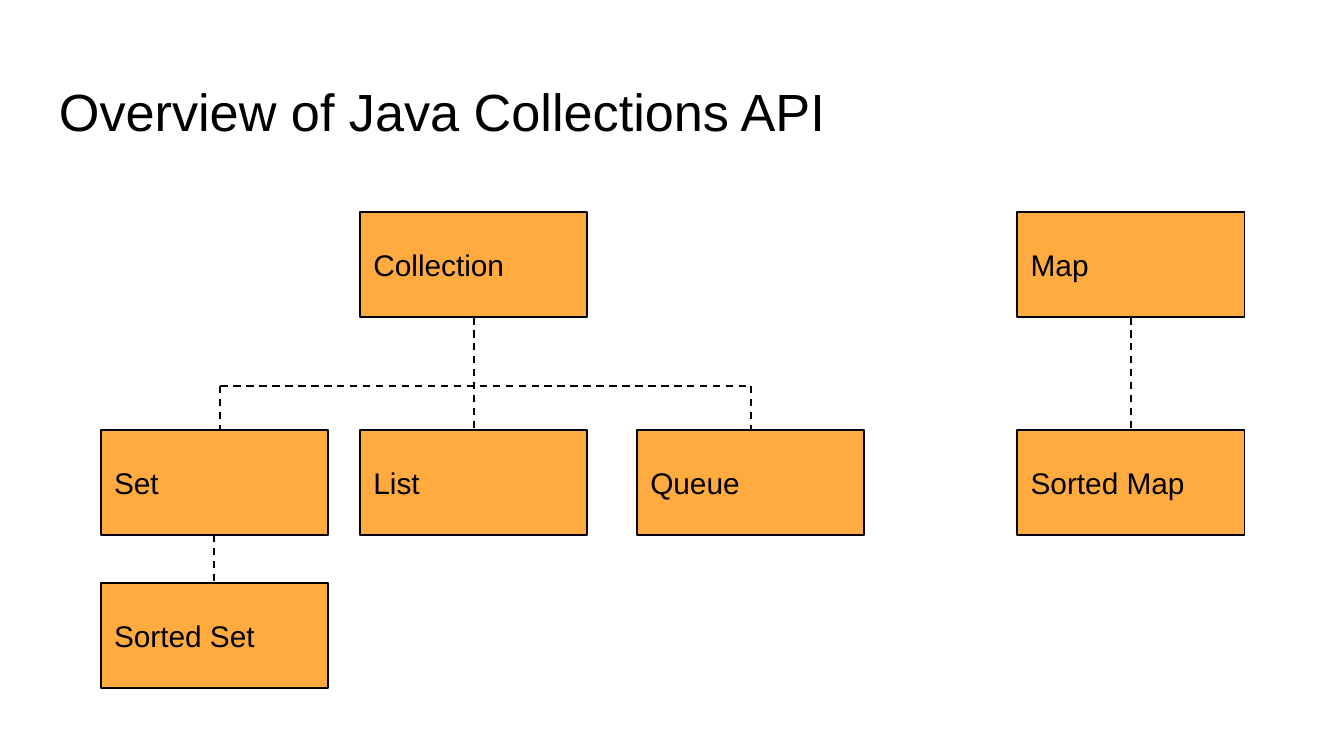
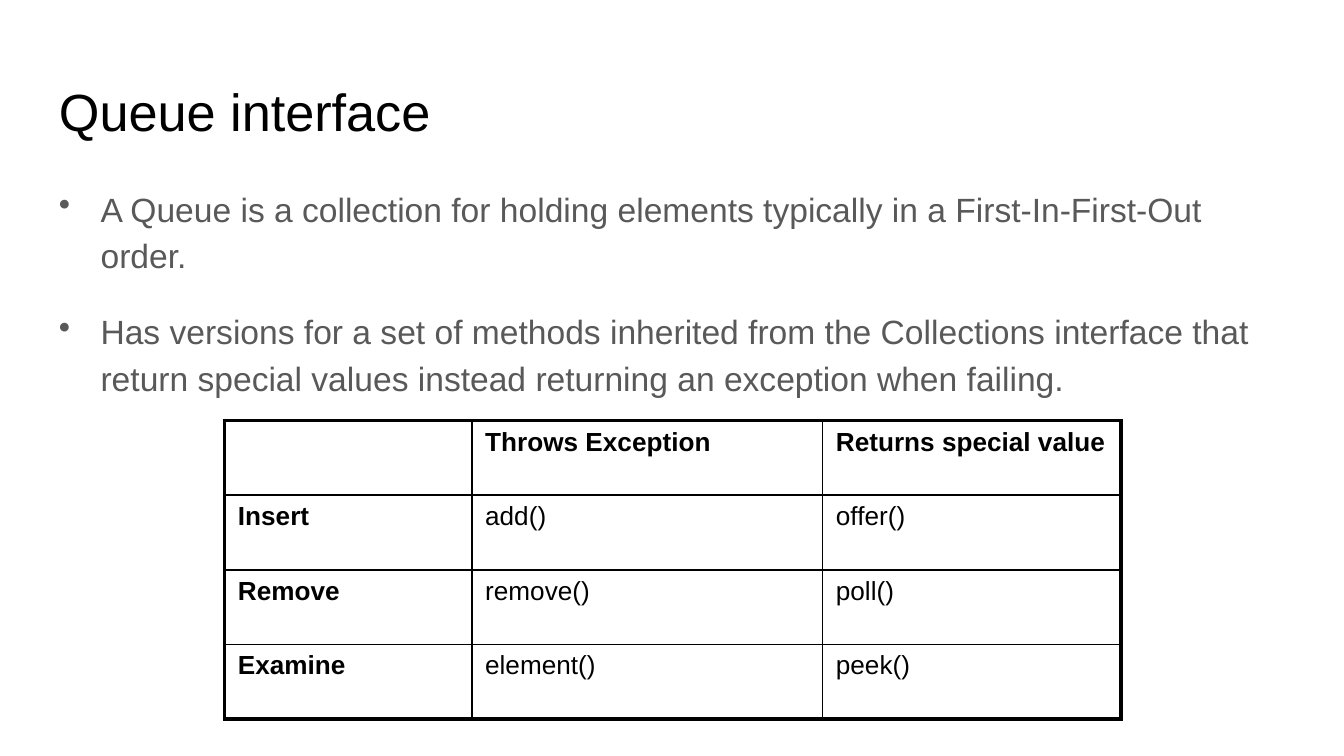
from lxml.etree import SubElement
from pptx import Presentation
from pptx.dml.color import RGBColor
from pptx.enum.dml import MSO_LINE
from pptx.enum.shapes import MSO_CONNECTOR, MSO_SHAPE
from pptx.enum.text import MSO_ANCHOR, PP_ALIGN
from pptx.oxml import parse_xml
from pptx.oxml.ns import nsdecls, qn
from pptx.util import Pt

PX = 4572
FONT = "Arial"
COLORS = {"ink": "000000", "body": "595959", "box": "FFAB40", "page": "FFFFFF"}
TITLE_BOX = (68, 98, 1864, 126)
BODY_BOX = (68, 252, 1864, 748)
TOP, BOTTOM, INSET = 0, 2, 20


def px(n):
    """Turn pixels into EMU."""
    return round(n * PX)


def rgb(name):
    """Look up a named colour."""
    return RGBColor.from_string(COLORS[name])


def style(p, size, color="ink", bold=False):
    """Set the font of a paragraph."""
    p.alignment = PP_ALIGN.LEFT
    p.font.name, p.font.size, p.font.bold = FONT, Pt(size), bold
    p.font.color.rgb = rgb(color)


def text_box(s, box, lines, size, color="ink"):
    """Add a wrapping text box and return its paragraphs."""
    tf = s.shapes.add_textbox(*map(px, box)).text_frame
    tf.word_wrap = True
    tf.margin_left = tf.margin_right = tf.margin_top = tf.margin_bottom = px(INSET)
    tf.text = "\n".join(lines)
    for p in tf.paragraphs:
        style(p, size, color)
    return tf.paragraphs


def add_slide(prs, title):
    """Add a blank slide with the shared background and title."""
    s = prs.slides.add_slide(prs.slide_layouts[6])
    s.background.fill.solid()
    s.background.fill.fore_color.rgb = rgb("page")
    text_box(s, TITLE_BOX, [title], 28)
    return s


def type_box(s, x, y, w, h, name):
    """Add one interface box of the hierarchy."""
    sp = s.shapes.add_shape(MSO_SHAPE.RECTANGLE, px(x), px(y), px(w), px(h))
    sp.shadow.inherit = False
    sp.fill.solid()
    sp.fill.fore_color.rgb = rgb("box")
    sp.line.color.rgb, sp.line.width = rgb("ink"), Pt(1)
    tf = sp.text_frame
    tf.word_wrap, tf.vertical_anchor = True, MSO_ANCHOR.MIDDLE
    tf.text = name
    style(tf.paragraphs[0], 16)
    return sp


def dashed(s, start=(0, 0), end=(0, 0), parent=None, child=None):
    """Add a dashed line between points or joined boxes."""
    cxn = s.shapes.add_connector(MSO_CONNECTOR.STRAIGHT, *map(px, (*start, *end)))
    cxn.line.color.rgb, cxn.line.width = rgb("ink"), Pt(1)
    cxn.line.dash_style = MSO_LINE.DASH
    SubElement(cxn._element.spPr, qn("a:effectLst"))
    if parent is not None:
        cxn.begin_connect(parent, BOTTOM)
    if child is not None:
        cxn.end_connect(child, TOP)


def hierarchy(s, left, top):
    """Draw the two interface trees from a top left corner."""
    w, h = 338, 156
    cols, rows = (0, 386, 798, 1364), (0, 324, 552)
    places = {"Collection": (1, 0), "Set": (0, 1), "List": (1, 1), "Queue": (2, 1),
              "Sorted Set": (0, 2), "Map": (3, 0), "Sorted Map": (3, 1)}
    boxes = {name: type_box(s, left + cols[c], top + rows[r], w, h, name)
             for name, (c, r) in places.items()}
    for parent, child in (("Collection", "List"), ("Set", "Sorted Set"), ("Map", "Sorted Map")):
        dashed(s, parent=boxes[parent], child=boxes[child])
    bus_y = top + 258
    set_x, queue_x = left + 178, left + cols[2] + w // 2
    dashed(s, (set_x, bus_y), (queue_x, bus_y))
    dashed(s, (set_x, bus_y), (set_x, top + rows[1]))
    dashed(s, (queue_x, bus_y), child=boxes["Queue"])


def bullets(s, box, lines):
    """Add the bulleted body text."""
    for p in text_box(s, box, lines, 18, "body"):
        p.line_spacing, p.space_after = 1.15, Pt(16)
        pPr = p._p.get_or_add_pPr()
        pPr.set("marL", str(px(62)))
        pPr.set("indent", str(px(-62)))
        bullet = parse_xml(f'<a:buChar {nsdecls("a")} char="•"/>')
        pPr.insert_element_before(bullet, "a:tabLst", "a:defRPr", "a:extLst")


def borders(cell, widths):
    """Draw the left, right, top and bottom borders of a cell."""
    tcPr = cell._tc.get_or_add_tcPr()
    for i, (side, width) in enumerate(zip("LRTB", widths)):
        tcPr.insert(i, parse_xml(
            f'<a:ln{side} {nsdecls("a")} w="{Pt(width)}"><a:solidFill>'
            f'<a:srgbClr val="{COLORS["ink"]}"/></a:solidFill></a:ln{side}>'))


def method_table(s, left, top, widths, row_h, rows):
    """Add the table with a thick frame and bold headings."""
    n_rows, n_cols = len(rows), len(widths)
    table = s.shapes.add_table(n_rows, n_cols, px(left), px(top),
                               px(sum(widths)), px(row_h * n_rows)).table
    table.first_row = table.horz_banding = False
    for col, w in zip(table.columns, widths):
        col.width = px(w)
    for r, row in enumerate(rows):
        table.rows[r].height = px(row_h)
        for c, text in enumerate(row):
            cell = table.cell(r, c)
            cell.text = text
            style(cell.text_frame.paragraphs[0], 14, bold=r == 0 or c == 0)
            cell.fill.background()
            outer = (c == 0, c == n_cols - 1, r == 0, r == n_rows - 1)
            borders(cell, [2.25 if edge else 1 for edge in outer])


def main():
    """Build and save the presentation."""
    prs = Presentation()
    prs.slide_width, prs.slide_height = px(2000), px(1125)

    s = add_slide(prs, "Overview of Java Collections API")
    hierarchy(s, 150, 316)

    s = add_slide(prs, "Queue interface")
    bullets(s, BODY_BOX, [
        "A Queue is a collection for holding elements typically in a First-In-First-Out order.",
        "Has versions for a set of methods inherited from the Collections interface that "
        "return special values instead returning an exception when failing."])
    method_table(s, 334, 626, (368, 522, 444), 111, [
        ("", "Throws Exception", "Returns special value"),
        ("Insert", "add()", "offer()"),
        ("Remove", "remove()", "poll()"),
        ("Examine", "element()", "peek()")])

    prs.save("out.pptx")


if __name__ == "__main__":
    main()
